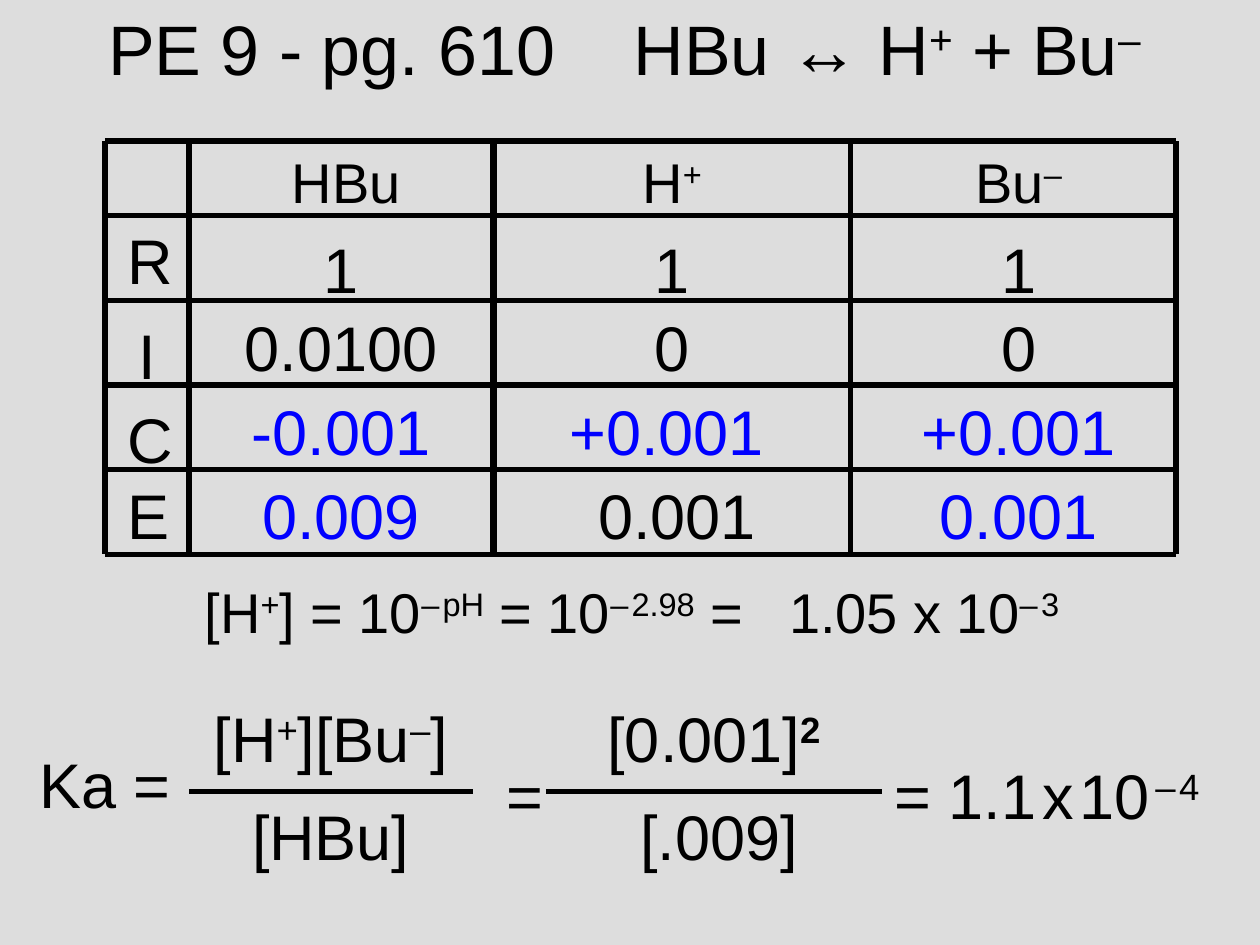
from lxml import etree
from pptx import Presentation, util as u
from pptx.dml.color import RGBColor
from pptx.enum import shapes, text
from pptx.oxml.ns import qn

Pt = u.Pt
COLORS = {"ground": "DDDDDD", "ink": "000000", "answer": "0000FF"}
FONT = "Arial"
LARGE, MEDIUM = 36, 32
SMALL_GAP = 12
LINE_BOX = 50.4

HEADINGS = ["HBu", "H^+^", "Bu^–^"]
# Label, top of label, top of values, values
ICE_ROWS = [
    ("R", 42.5, 47.6, ["1", "1", "1"]),
    ("I", 96.5, 92.2, ["0.0100", "0", "0"]),
    ("C", 144.8, 140.4, ["-0.001", "+0.001", "+0.001"]),
    ("E", 188, 188, ["0.009", "0.001", "0.001"]),
]
ANSWERS = {("C", 0), ("C", 1), ("C", 2), ("E", 0), ("E", 2)}
# Left and width of the text in each column
HEADING_SLOTS = [(90, 96), (276, 96), (474, 96)]
START_SLOTS = [(54, 162), (228, 192), (474, 96)]
CHANGE_SLOTS = [(66, 138), (228, 186), (438, 168)]
END_SLOTS = [(66, 138), (234, 186), (438, 168)]
ROW_SLOTS = [START_SLOTS, START_SLOTS, CHANGE_SLOTS, END_SLOTS]
INNER_COLUMNS = [(48, 3), (222, 4.5), (426, 3)]
HEADER_HEIGHT = 42.5


def rgb(name):
    return RGBColor.from_string(COLORS[name])


def write_formula(para, markup, size, color):
    """Write markup where ^...^ is superscript and ~ is a narrow space."""
    for index, part in enumerate(markup.split("^")):
        for position, piece in enumerate(part.split("~")):
            spans = [(" ", SMALL_GAP)] if position else []
            if piece:
                spans.append((piece, size))
            for words, points in spans:
                span = para.add_run()
                span.text = words
                span.font.size = Pt(points)
                span.font.name = FONT
                span.font.color.rgb = rgb(color)
                if index % 2:
                    span._r.get_or_add_rPr().set("baseline", "30000")


def add_text(page, box, markup, size=LARGE, align="CENTER", anchor="TOP",
             tab=None, color="ink"):
    left, top, width, height = box
    frame = page.shapes.add_textbox(Pt(left), Pt(top), Pt(width), Pt(height)).text_frame
    frame.word_wrap = True
    frame.vertical_anchor = getattr(text.MSO_ANCHOR, anchor)
    para = frame.paragraphs[0]
    para.alignment = getattr(text.PP_ALIGN, align)
    if tab:
        tabs = etree.SubElement(para._p.get_or_add_pPr(), qn("a:tabLst"))
        etree.SubElement(tabs, qn("a:tab"), pos=str(Pt(tab)), algn="l")
    write_formula(para, markup, size, color)
    return para


def add_line(page, start, end, weight=3):
    line = page.shapes.add_connector(
        shapes.MSO_CONNECTOR.STRAIGHT, *(Pt(value) for value in (*start, *end)))
    line.line.color.rgb = rgb("ink")
    line.line.width = Pt(weight)
    etree.SubElement(line._element.spPr, qn("a:effectLst"))


def add_grid(page, box):
    left, top, width, height = box
    row_height = (height - HEADER_HEIGHT) / len(ICE_ROWS)
    rules = [0] + [HEADER_HEIGHT + row_height * n for n in range(len(ICE_ROWS) + 1)]
    for y in rules:
        add_line(page, (left, top + y), (left + width, top + y))
    for x, weight in [(0, 3), *INNER_COLUMNS, (width, 3)]:
        add_line(page, (left + x, top), (left + x, top + height), weight)


def add_ice_chart(page, box):
    """Rule the grid and set the headings, row labels and values in it."""
    left, top = box[:2]
    add_grid(page, box)
    for heading, (x, width) in zip(HEADINGS, HEADING_SLOTS):
        add_text(page, (left + x, top, width, 46), heading, MEDIUM)
    for (label, label_top, value_top, values), slots in zip(ICE_ROWS, ROW_SLOTS):
        add_text(page, (left + 6, top + label_top, 36, LINE_BOX), label)
        for column, (value, (x, width)) in enumerate(zip(values, slots)):
            color = "answer" if (label, column) in ANSWERS else "ink"
            add_text(page, (left + x, top + value_top, width, LINE_BOX), value, color=color)


def add_fraction(page, box, numerator, denominator, shift=0):
    """Stack two terms around a bar; shift moves the lower one sideways."""
    left, top, width, height = box
    bar = top + height / 2
    above = add_text(page, (left, top, width, LINE_BOX), numerator)
    add_text(page, (left + shift, bar, width, LINE_BOX), denominator)
    add_line(page, (left, bar), (left + width, bar), 2.75)
    return above


def add_constant(page, box):
    """Work out Ka as two fractions and a result."""
    left, top, width, height = box
    add_text(page, (left, top + 26.6, 96, LINE_BOX), "Ka =")
    add_fraction(page, (left + 96, top, 162, height), "[H^+^][Bu^–^]", "[HBu]")
    add_text(page, (left + 270, top + 32.6, 36, LINE_BOX), "=")
    squared = add_fraction(page, (left + 300, top, 192, height), "[0.001]^2^", "[.009]", 3)
    squared.runs[-1].font.bold = True
    add_text(page, (left + 492, top + 32.6, width - 492, LINE_BOX),
             "= 1.1~x~10~^–~4^", align="LEFT")


def main():
    deck = Presentation()
    deck.slide_width, deck.slide_height = Pt(720), Pt(540)
    page = deck.slides.add_slide(deck.slide_layouts[6])
    page.background.fill.solid()
    page.background.fill.fore_color.rgb = rgb("ground")
    add_text(page, (54.8, 6, 641, 42), "PE 9 - pg. 610\tHBu ↔ H^+^ + Bu^–^",
             size=40, align="LEFT", anchor="MIDDLE", tab=300.3)
    add_ice_chart(page, (60, 80.6, 612, 236.2))
    add_text(page, (109.8, 326.2, 512, 46),
             "[H^+^] = 10^–~pH^ = 10^–~2.98^ =\t1.05 x 10^–~3^",
             size=MEDIUM, align="LEFT", tab=334)
    add_constant(page, (12, 396, 708, 112.6))
    deck.save("out.pptx")


if __name__ == "__main__":
    main()
